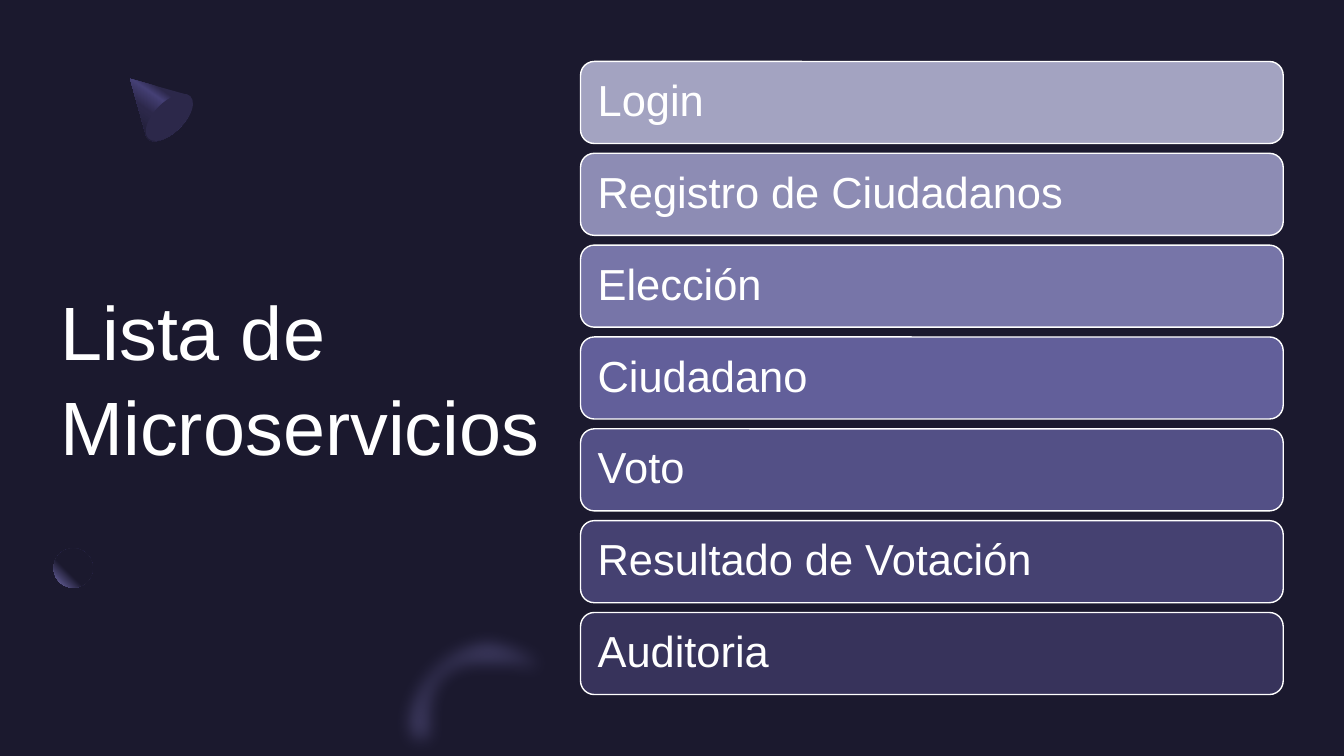
import pptx
import pptx.util
import pptx.dml.color
import pptx.enum.shapes
import pptx.enum.text
import pptx.oxml
import pptx.oxml.ns

Pt = pptx.util.Pt
SHAPE = pptx.enum.shapes.MSO_SHAPE
ANCHOR = pptx.enum.text.MSO_ANCHOR
ALIGN = pptx.enum.text.PP_ALIGN
qn = pptx.oxml.ns.qn

# Content
TITLE = "Lista de Microservicios"
SERVICES = [
    ("Login", "A3A3C1"),
    ("Registro de Ciudadanos", "8D8CB4"),
    ("Elección", "7775A8"),
    ("Ciudadano", "625F9A"),
    ("Voto", "535086"),
    ("Resultado de Votación", "454171"),
    ("Auditoria", "37335B"),
]

THEME = {
    "font": "Arial", "title_size": 54, "service_size": 31,
    "background": "1B192E", "text": "FFFFFF",
    "accent": "7771B2", "cone_light": "454075", "cone_dark": "2C284A",
}

# Outlines in points: two numbers are a straight step, six are a Bézier curve
CONE_SIDE = [
    (92.9, 56.2), (133.9, 67.7),
    (135, 68.4, 135.4, 68.4, 135.4, 69.1),
    (139.7, 73.4, 136.1, 83.5, 128.2, 91.4),
    (119.5, 100.1, 109.4, 103, 105.8, 99.4),
    (105.1, 98.6, 104.4, 97.9, 104.4, 97.2),
]
RING_ARC = [
    (345.6, 447.1), (367.9, 445.7, 391, 455, 409, 473),
    (383.8, 499), (367.2, 482.4, 342.7, 481, 328.3, 495.4),
    (318.2, 506.2, 316.1, 522.7, 322.6, 537.1),
    (324, 540), (283.7, 540), (282.2, 535),
    (276.5, 509.8, 281.5, 483.8, 299.5, 466.6),
    (311.8, 453.6, 328.3, 447.1, 345.6, 447.1),
]
CURVE_STEPS = 12
UNITS_PER_POINT = 100

# Layout of the service list
LIST_LEFT, LIST_TOP, LIST_WIDTH = 414.7, 43.9, 501.9
ROW_HEIGHT, ROW_PITCH = 58.6, 65.6


def rgb(color):
    return pptx.dml.color.RGBColor.from_string(THEME.get(color, color))


def style(shape, fill, line=None):
    shape.shadow.inherit = False
    shape.fill.solid()
    shape.fill.fore_color.rgb = rgb(fill)
    if line:
        shape.line.color.rgb = rgb(line)
        shape.line.width = Pt(1)
    else:
        shape.line.fill.background()


def set_gradient(shape, stops, direction):
    stop_xml = "".join(
        f'<a:gs pos="{pos * 1000}"><a:srgbClr val="{THEME[color]}"/></a:gs>'
        for pos, color in stops)
    gradient = pptx.oxml.parse_xml(
        f'<a:gradFill {pptx.oxml.ns.nsdecls("a")} rotWithShape="1">'
        f'<a:gsLst>{stop_xml}</a:gsLst>{direction}</a:gradFill>')
    properties = shape._element.spPr
    properties.replace(properties.find(qn("a:solidFill")), gradient)


def write(shape, text, size, spacing, inset):
    frame = shape.text_frame
    frame.text = text
    frame.word_wrap = True
    frame.vertical_anchor = ANCHOR.MIDDLE
    frame.margin_left = frame.margin_right = Pt(inset)
    frame.margin_top = frame.margin_bottom = Pt(inset)
    paragraph = frame.paragraphs[0]
    paragraph.alignment = ALIGN.LEFT
    paragraph.line_spacing = spacing
    font = paragraph.runs[0].font
    font.name, font.size = THEME["font"], Pt(THEME[size])
    font.color.rgb = rgb("text")


def trace(outline):
    points = [outline[0]]
    for step in outline[1:]:
        if len(step) == 2:
            points.append(step)
            continue
        corners = [points[-1], step[:2], step[2:4], step[4:]]
        for i in range(1, CURVE_STEPS + 1):
            t = i / CURVE_STEPS
            weights = ((1 - t) ** 3, 3 * t * (1 - t) ** 2,
                       3 * t * t * (1 - t), t ** 3)
            points.append(tuple(
                sum(w * corner[axis] for w, corner in zip(weights, corners))
                for axis in (0, 1)))
    return [(round(x * UNITS_PER_POINT), round(y * UNITS_PER_POINT)) for x, y in points]


def add_outline(shapes, outline):
    start, *rest = trace(outline)
    builder = shapes.build_freeform(*start, scale=Pt(1) / UNITS_PER_POINT)
    builder.add_line_segments(rest, close=True)
    return builder.convert_to_shape()


def add_shape(shapes, kind, *box):
    return shapes.add_shape(kind, *(Pt(length) for length in box))


def add_decoration(shapes):
    # Cone
    cone_side = add_outline(shapes, CONE_SIDE)
    style(cone_side, "cone_dark")
    set_gradient(cone_side,
                 [(30, "cone_dark"), (40, "cone_light"),
                  (60, "cone_dark"), (100, "background")],
                 '<a:lin ang="7500000" scaled="0"/>')
    cone_base = add_shape(shapes, SHAPE.OVAL, 110.2, 62.6, 21.6, 42.5)
    cone_base.rotation = 45
    style(cone_base, "cone_dark")

    # Ball lit from the lower left
    ball = add_shape(shapes, SHAPE.OVAL, 38.2, 391.7, 28.1, 28.1)
    style(ball, "background")
    set_gradient(ball, [(60, "background"), (100, "accent")],
                 '<a:path path="circle"><a:fillToRect l="100000" b="100000"/></a:path>')

    # Soft translucent ring
    ring = add_outline(shapes, RING_ARC)
    style(ring, "accent")
    properties = ring._element.spPr
    ring_color = properties.find(qn("a:solidFill")).find(qn("a:srgbClr"))
    pptx.oxml.ns.qn
    ring_color.append(pptx.oxml.parse_xml(
        f'<a:alpha {pptx.oxml.ns.nsdecls("a")} val="40000"/>'))
    properties.find(qn("a:effectLst")).append(pptx.oxml.parse_xml(
        f'<a:softEdge {pptx.oxml.ns.nsdecls("a")} rad="{Pt(12.7)}"/>'))


def main():
    deck = pptx.Presentation()
    deck.slide_width, deck.slide_height = Pt(960), Pt(540)
    slide = deck.slides.add_slide(deck.slide_layouts[6])
    slide.background.fill.solid()
    slide.background.fill.fore_color.rgb = rgb("background")

    # Title
    title = slide.shapes.add_textbox(Pt(43.2), Pt(119.5), Pt(357), Pt(297.4))
    write(title, TITLE, "title_size", 1.05, 0)

    add_decoration(slide.shapes)

    # Service list
    for row, (service, color) in enumerate(SERVICES):
        card = add_shape(slide.shapes, SHAPE.ROUNDED_RECTANGLE, LIST_LEFT,
                         LIST_TOP + row * ROW_PITCH, LIST_WIDTH, ROW_HEIGHT)
        style(card, color, "text")
        write(card, service, "service_size", 0.9, 9.4)

    deck.save("out.pptx")


if __name__ == "__main__":
    main()
